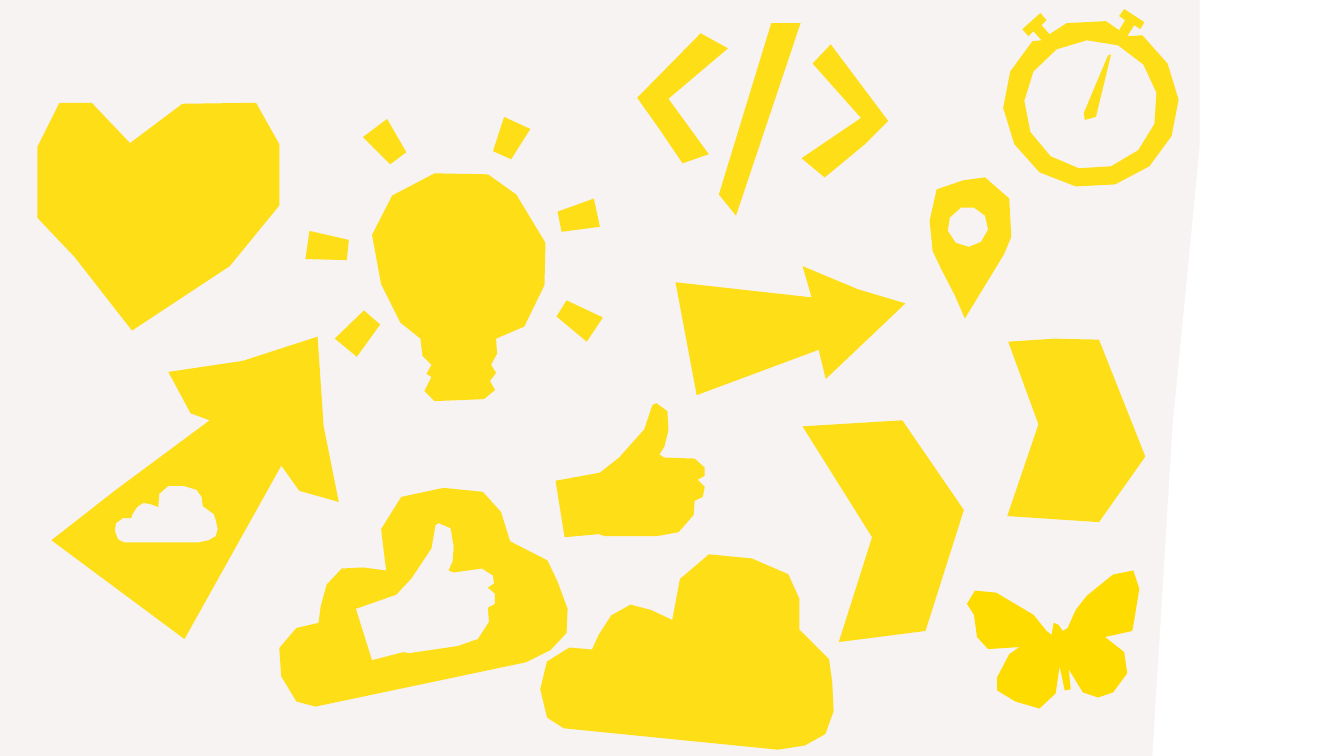
from math import cos, hypot, radians, sin

from lxml.etree import SubElement
from pptx import Presentation
from pptx.dml.color import RGBColor
from pptx.oxml.ns import qn
from pptx.util import Inches

YELLOW = RGBColor(0xFF, 0xDC, 0x00)
WHITE = RGBColor(0xFF, 0xFF, 0xFF)
BACKDROP = RGBColor(0xF7, 0xF3, 0xF3)
UNIT = Inches(0.01)  # points are hundredths of an inch from the icon's top left

# Outlines that several icons share
CLOUD = [(163, 0), (202, 4), (220, 24), (229, 53), (266, 72), (276, 93), (286, 120),
         (285, 144), (269, 161), (245, 173), (36, 217), (17, 212), (2, 187), (0, 159),
         (17, 139), (39, 134), (41, 118), (47, 96), (62, 80), (83, 79), (106, 82),
         (101, 41), (121, 9)]
CLOUD_CORNER = (36, 217)
THUMB = [(0, 77), (44, 69), (63, 54), (88, 26), (96, 2), (100, 0), (111, 8), (112, 27),
         (108, 43), (103, 51), (108, 54), (138, 55), (148, 64), (148, 72), (141, 76),
         (148, 83), (146, 93), (138, 97), (137, 111), (122, 128), (100, 132), (49, 132),
         (43, 130), (9, 133)]
THUMB_WRIST = (0, 77)


# Geometry rules
def polygon(center, rx, ry, sides, start):
    """Corners of an even polygon, clockwise from the start angle."""
    angles = [radians(start + 360 * i / sides) for i in range(sides)]
    return [(center[0] + rx * cos(a), center[1] + ry * sin(a)) for a in angles]


def along(base, angle, steps):
    """Points given as (forward, sideways) steps from a base, facing an angle."""
    c, n = cos(radians(angle)), sin(radians(angle))
    return [(base[0] + f * c - w * n, base[1] + f * n + w * c) for f, w in steps]


def moved(outline, pivot, target, angle, scale_x, scale_y):
    """Turn an outline about its pivot, scale it, and carry the pivot to target."""
    turned = along((0, 0), angle, [(x - pivot[0], y - pivot[1]) for x, y in outline])
    return [(target[0] + x * scale_x, target[1] + y * scale_y) for x, y in turned]


def ray(inner, outer, inner_width=20, outer_width=29):
    """A beam of light that widens from its inner to its outer end."""
    dx, dy = outer[0] - inner[0], outer[1] - inner[1]
    length = hypot(dx, dy)
    nx, ny = -dy / length / 2, dx / length / 2
    return [(x + side * width * nx, y + side * width * ny)
            for (x, y), width, side in ((inner, inner_width, -1), (outer, outer_width, -1),
                                        (outer, outer_width, 1), (inner, inner_width, 1))]


def button(base, angle, stem=12, height=21, stem_half=5, cap_half=12):
    """A T-shaped watch button standing on base."""
    half = [(0, stem_half), (stem, stem_half), (stem, cap_half), (height, cap_half)]
    return along(base, angle, [(f, -w) for f, w in half] + half[::-1])


# Drawing
def cut_out(s, box, outline, *holes, color=YELLOW, opacity=90, rotation=0):
    """Draw one paper cut-out, with holes, from the left and top of its box."""
    builder = s.shapes.build_freeform(*outline[0], scale=UNIT)
    builder.add_line_segments(outline[1:], close=True)
    for hole in holes:
        builder.move_to(*hole[0])
        builder.add_line_segments(hole[1:], close=True)
    sp = builder.convert_to_shape(Inches(box[0]), Inches(box[1]))
    sp.shadow.inherit = False
    sp.line.fill.background()
    sp.fill.solid()
    sp.fill.fore_color.rgb = color
    if opacity < 100:
        rgb = sp.fill._xPr.find(".//" + qn("a:srgbClr"))
        SubElement(rgb, qn("a:alpha"), val=str(opacity * 1000))
    sp.rotation = rotation
    return sp


def side_panel(s, box):
    edge = [(47, 0), (190, 0), (190, 750), (0, 750), (20, 423), (47, 145)]
    cut_out(s, box, edge, color=WHITE, opacity=100)


def heart(s, box):
    cut_out(s, box, [(0, 44), (22, 0), (54, 0), (92, 40), (144, 1), (217, 0), (240, 41),
                     (240, 102), (191, 162), (94, 226), (37, 153), (0, 114)])


def light_bulb(s, box):
    rays = [((90, 38), (67, 8)), ((193, 35), (208, 3)), ((250, 101), (287, 92)),
            ((40, 129), (0, 124)), ((64, 196), (38, 226)), ((252, 187), (285, 208))]
    glass = [(92, 201), (73, 163), (64, 114), (84, 75), (126, 53), (179, 54), (207, 74),
             (236, 122), (235, 164), (215, 205)]
    socket = [(187, 217), (188, 232), (182, 243), (187, 251), (181, 259), (186, 268),
              (175, 277), (126, 279), (116, 269), (123, 255), (118, 252), (123, 243),
              (114, 234), (112, 217)]
    parts = [ray(*ends) for ends in rays] + [glass + socket]
    s.shapes.add_group_shape([cut_out(s, box, part) for part in parts])


def code_sign(s, box):
    slash = [(133, 0), (162, 0), (98, 191), (81, 170)]
    right = [(174, 40), (192, 21), (249, 97), (226, 120), (186, 153), (163, 134), (222, 94)]
    left = [(0, 74), (63, 10), (90, 25), (31, 75), (71, 130), (45, 139), (22, 105)]
    s.shapes.add_group_shape([cut_out(s, box, part) for part in (slash, right, left)])


def cloud_arrow(s, box):
    head = [(157, 83), (138, 76), (116, 35), (190, 24), (264, 0), (270, 89), (285, 164),
            (246, 153), (228, 128)]
    shaft = [(132, 300), (0, 202), (64, 152)]
    small_cloud = moved(CLOUD, CLOUD_CORNER, (72, 204), 11.9, 0.35, 0.3)
    cut_out(s, box, head + shaft, small_cloud)


def thumb_cloud(s, box):
    cut_out(s, box, CLOUD, moved(THUMB, THUMB_WRIST, (76, 120), -8.5, 0.94, 0.94))


def cloud(s, box):
    cut_out(s, box, CLOUD, rotation=17.6)


def thumb(s, box):
    cut_out(s, box, THUMB)


def left_chevron(s, box):
    cut_out(s, box, [(0, 6), (99, 0), (160, 89), (122, 209), (36, 220), (69, 116)])


def right_chevron(s, box):
    cut_out(s, box, [(1, 3), (47, 0), (91, 1), (137, 117), (91, 182), (0, 176), (31, 85)])


def arrow(s, box):
    head = [(135, 31), (126, 0), (181, 23), (228, 37), (149, 112), (142, 83)]
    tail = [(21, 128), (0, 16)]
    cut_out(s, box, head + tail)


def map_pin(s, box):
    top = [(0, 43), (7, 12), (33, 3), (55, 0), (79, 21), (81, 59)]
    point = [(74, 76), (35, 140), (25, 117), (11, 90), (3, 73)]
    cut_out(s, box, top + point, polygon((38, 49), 20, 20, sides=9, start=8))


def stopwatch(s, box):
    rim = polygon((87, 93), 87, 83, sides=14, start=-3)
    case = (rim[:10] + button((42, 27), 228) + rim[10:12]
            + button((119, 23), 302) + rim[12:])
    dial = polygon((87, 94), 66, 64, sides=13, start=17)
    hand = [(92, 106), (107, 44), (104, 45), (80, 102), (81, 109)]
    cut_out(s, box, case, dial, hand)


def butterfly(s, box):
    head = [(84, 64), (86, 52), (91, 54), (95, 60), (100, 57)]
    upper_right = [(108, 39), (119, 25), (145, 4), (165, 0), (171, 18), (166, 49), (164, 60)]
    lower_right = [(137, 66), (156, 81), (159, 102), (145, 121), (130, 126), (115, 121)]
    tail = [(101, 98), (103, 118), (97, 119), (92, 95)]
    lower_left = [(88, 122), (72, 137), (48, 130), (30, 119), (30, 106), (42, 83), (52, 76)]
    upper_left = [(21, 78), (10, 66), (7, 44), (0, 33), (8, 20), (29, 22), (66, 44), (79, 60)]
    cut_out(s, box, head + upper_right + lower_right + tail + lower_left + upper_left,
            opacity=100)


# Left and top of each icon in inches, from back to front
ICONS = [
    (side_panel, (11.43, 0)), (heart, (0.37, 1.02)), (light_bulb, (3.05, 1.19)),
    (code_sign, (6.32, 0.23)), (cloud_arrow, (0.51, 3.34)), (thumb_cloud, (2.77, 4.84)),
    (left_chevron, (7.96, 4.17)), (right_chevron, (9.99, 3.36)), (arrow, (6.7, 2.64)),
    (thumb, (5.51, 4)), (map_pin, (9.22, 1.76)), (cloud, (5.51, 5.43)),
    (stopwatch, (9.95, 0.1)), (butterfly, (9.59, 5.66)),
]


def icon_slide(prs):
    s = prs.slides.add_slide(prs.slide_layouts[6])
    s.background.fill.solid()
    s.background.fill.fore_color.rgb = BACKDROP
    for draw, box in ICONS:
        draw(s, box)


if __name__ == "__main__":
    prs = Presentation()
    prs.slide_width, prs.slide_height = Inches(13.33), Inches(7.5)
    icon_slide(prs)
    prs.save("out.pptx")
